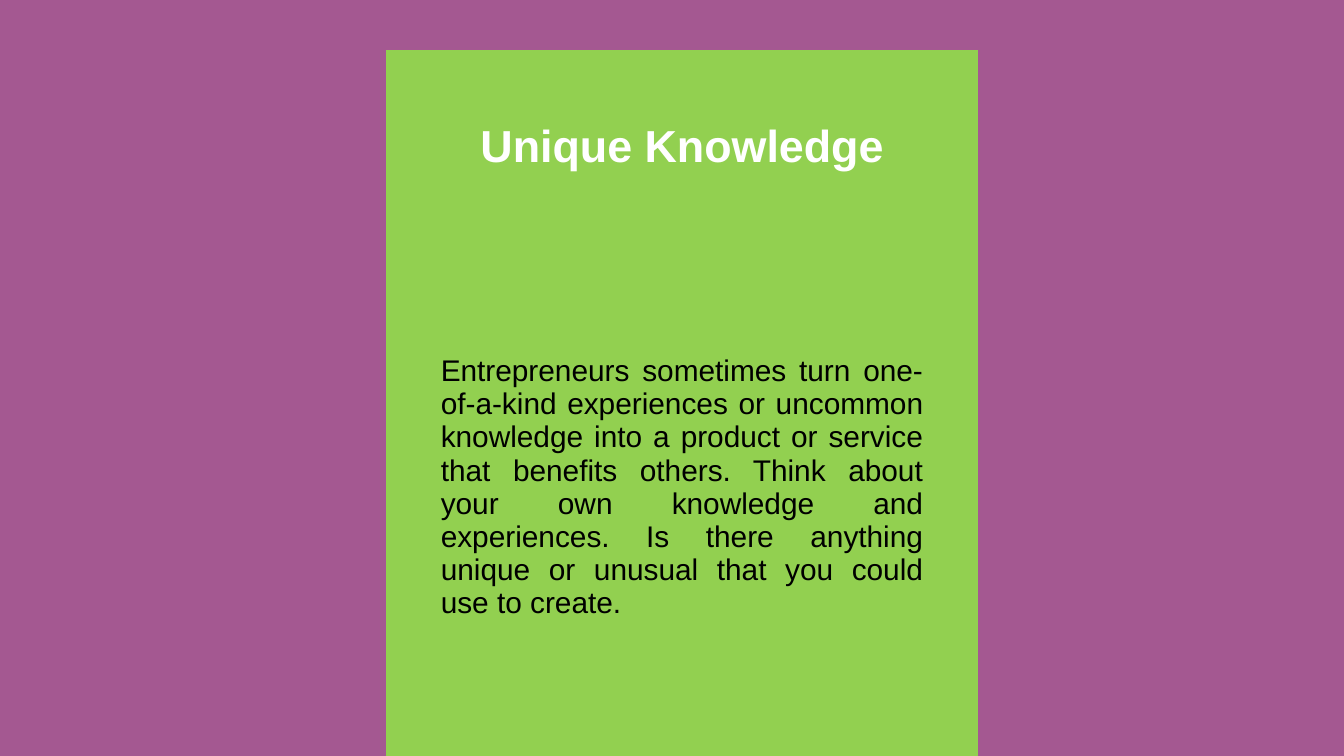
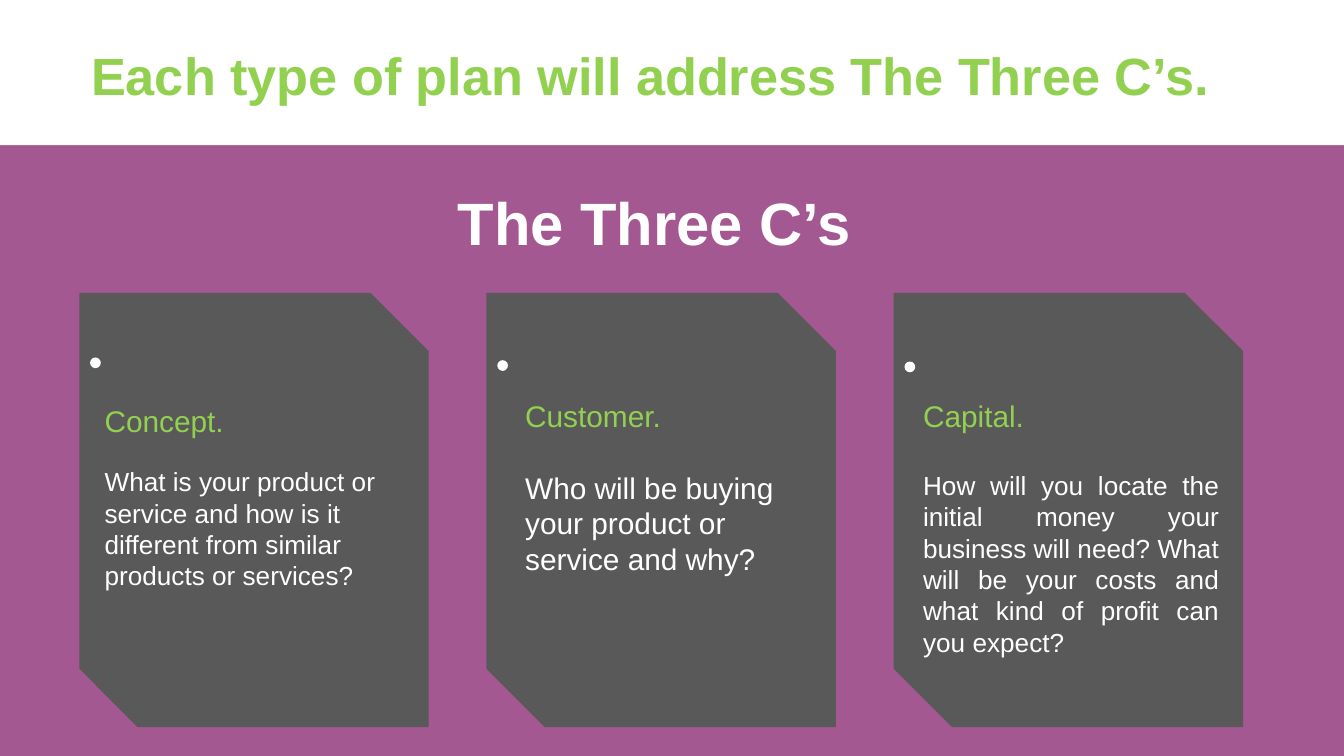
"""Build two business-planning slides: a unique knowledge panel and the Three C's."""
from dataclasses import dataclass

from pptx import Presentation
from pptx import util as u
from pptx.dml.color import RGBColor
from pptx.enum import shapes, text


@dataclass(frozen=True)
class Theme:
    font: str = "Arial"
    purple: RGBColor = RGBColor(0xA4, 0x58, 0x91)
    green: RGBColor = RGBColor(0x92, 0xD0, 0x50)
    gray: RGBColor = RGBColor(0x59, 0x59, 0x59)
    white: RGBColor = RGBColor(0xFF, 0xFF, 0xFF)
    black: RGBColor = RGBColor(0x00, 0x00, 0x00)
    banner: int = 28
    heading: int = 32
    panel_title: int = 24
    body: int = 16
    small: int = 14


theme = Theme()
Align = text.PP_ALIGN
Shape = shapes.MSO_SHAPE
NO_GRID_STYLE = "{2D5ABB26-0587-4C30-8999-92F81FD0307C}"


def write(paragraph, words, size, color, bold=False, align=Align.LEFT):
    paragraph.text = words
    paragraph.alignment = align
    paragraph.font.name = theme.font
    paragraph.font.size = u.Pt(size)
    paragraph.font.bold = bold
    paragraph.font.color.rgb = color


def add_filled(slide, kind, box, color):
    shape = slide.shapes.add_shape(kind, *map(u.Inches, box))
    shape.shadow.inherit = False
    shape.fill.solid()
    shape.fill.fore_color.rgb = color
    shape.line.fill.background()


presentation = Presentation()
presentation.slide_width = u.Inches(10)
presentation.slide_height = u.Inches(10 * 9 / 16)
blank = presentation.slide_layouts[6]
knowledge_slide, plan_slide = [presentation.slides.add_slide(blank) for _ in range(2)]
for slide in (knowledge_slide, plan_slide):
    slide.background.fill.solid()
    slide.background.fill.fore_color.rgb = theme.purple

column_widths = [0.31, 3.79, 0.31]
row_heights = [0.4, 0.64, 0.13, 3.61, 0.18]
frame = knowledge_slide.shapes.add_table(
    len(row_heights), len(column_widths), u.Inches(2.87), u.Inches(0.37),
    u.Inches(sum(column_widths)), u.Inches(sum(row_heights)))
panel = frame.table
panel.first_row = panel.horz_banding = False
panel._tbl.tblPr[0].text = NO_GRID_STYLE
for column, width in zip(panel.columns, column_widths):
    column.width = u.Inches(width)
for row, height in zip(panel.rows, row_heights):
    row.height = u.Inches(height)
for cell in panel.iter_cells():
    cell.fill.solid()
    cell.fill.fore_color.rgb = theme.green
    cell.vertical_anchor = text.MSO_ANCHOR.MIDDLE
write(panel.cell(1, 1).text_frame.paragraphs[0], "Unique Knowledge",
      theme.panel_title, theme.white, True, Align.CENTER)
write(panel.cell(3, 1).text_frame.paragraphs[0],
      "Entrepreneurs sometimes turn one-of-a-kind experiences or uncommon knowledge "
      "into a product or service that benefits others. Think about your own knowledge "
      "and experiences. Is there anything unique or unusual that you could use to create.",
      theme.body, theme.black, align=Align.JUSTIFY)

add_filled(plan_slide, Shape.RECTANGLE, (0, 0, 10, 1.08), theme.white)
headings = [
    ((0.58, 0.27, 10, 0.31), "Each type of plan will address The Three C’s.",
     theme.banner, theme.green, Align.LEFT),
    ((3.02, 1.33, 3.7, 0.64), "The Three C’s",
     theme.heading, theme.white, Align.CENTER),
]
for box, words, size, color, align in headings:
    text_frame = plan_slide.shapes.add_textbox(*map(u.Inches, box)).text_frame
    text_frame.word_wrap = True
    write(text_frame.paragraphs[0], words, size, color, True, align)

cards = [
    ("Concept.", "What is your product or service and how is it different from similar "
     "products or services?", theme.small, Align.LEFT, 14.3, 2.66, (0.68, 2.95, 2.4, 1.82)),
    ("Customer.", "Who will be buying your product or service and why?",
     theme.body, Align.LEFT, 19.1, 2.68, (3.81, 2.91, 2.4, 1.75)),
    ("Capital.", "How will you locate the initial money your business will need? What will "
     "be your costs and what kind of profit can you expect?",
     theme.small, Align.JUSTIFY, 19.1, 2.69, (6.77, 2.91, 2.4, 2.12)),
]
for index, (name, question, size, align, gap, dot_top, box) in enumerate(cards):
    card_left = 0.59 + 3.03 * index
    add_filled(plan_slide, Shape.SNIP_2_DIAG_RECTANGLE, (card_left, 2.18, 2.6, 3.23), theme.gray)
    add_filled(plan_slide, Shape.OVAL, (card_left + 0.08, dot_top, 0.08, 0.08), theme.white)
    text_frame = plan_slide.shapes.add_textbox(*map(u.Inches, box)).text_frame
    text_frame.word_wrap = True
    write(text_frame.paragraphs[0], name, theme.body, theme.green)
    write(text_frame.add_paragraph(), question, size, theme.white, align=align)
    text_frame.paragraphs[1].space_before = u.Pt(gap)

presentation.save("out.pptx")
